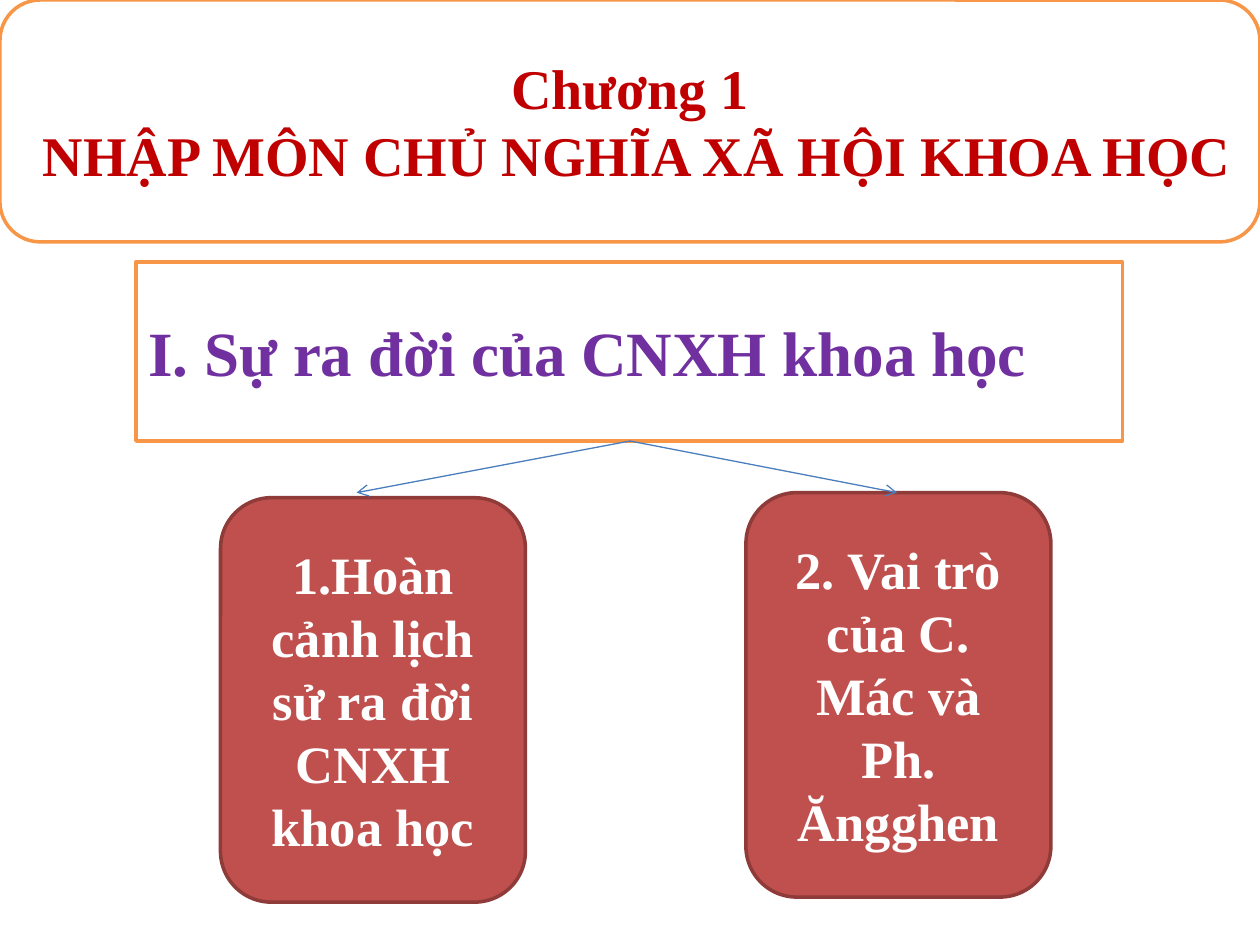
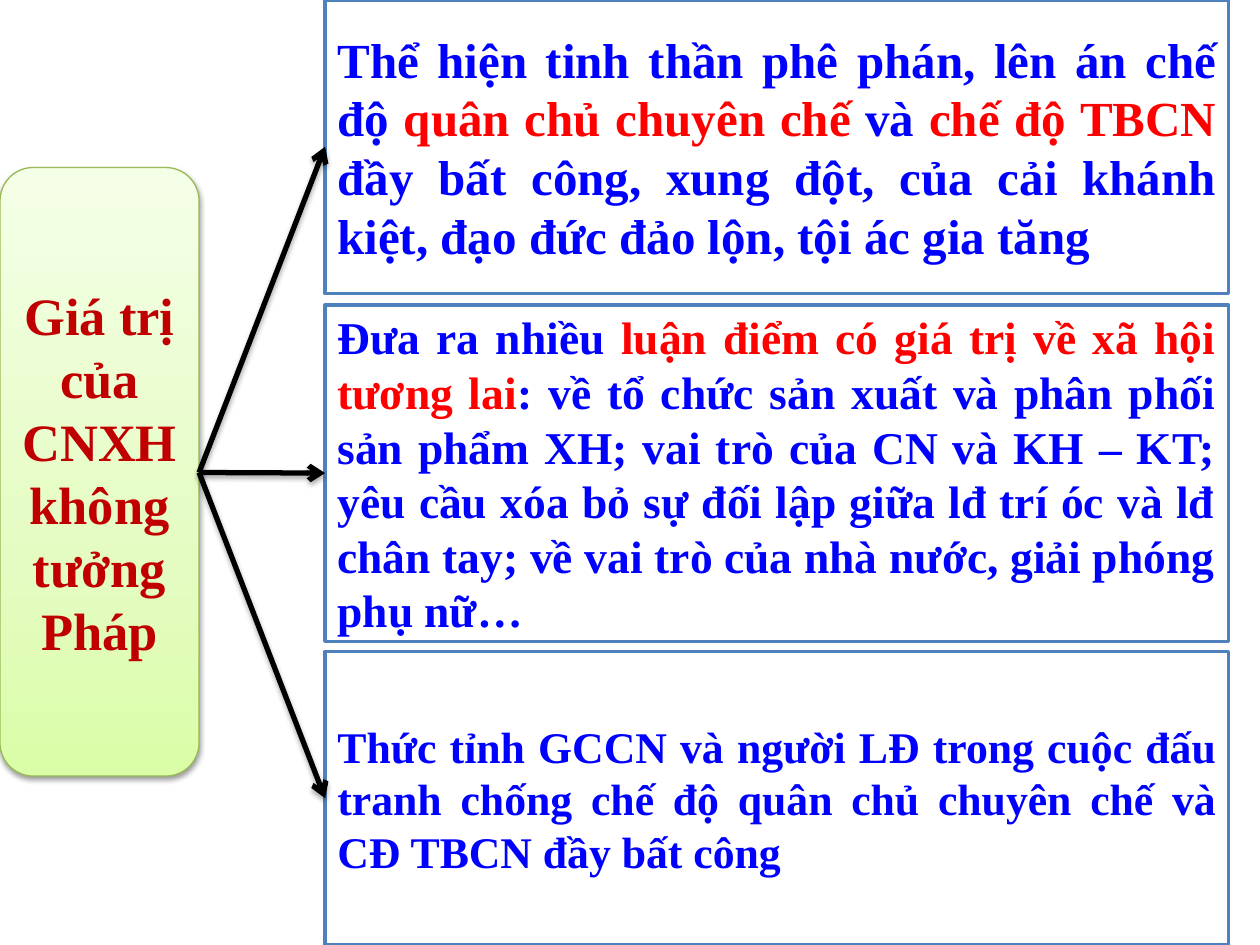
from copy import deepcopy
from dataclasses import dataclass
from lxml.etree import SubElement
from pptx import Presentation
from pptx.dml.color import RGBColor
from pptx.enum.shapes import MSO_CONNECTOR, MSO_SHAPE
from pptx.enum.text import MSO_ANCHOR, PP_ALIGN
from pptx.oxml.ns import qn
from pptx.util import Inches, Pt


@dataclass(frozen=True)
class Theme:
    font: str = "Times New Roman"
    white: str = "FFFFFF"
    black: str = "000000"
    orange: str = "F79646"
    crimson: str = "C00000"
    purple: str = "7030A0"
    brick: str = "C0504D"
    maroon: str = "8E3B39"
    steel: str = "4B7EBC"
    frame: str = "4F81BD"
    olive: str = "98B955"
    blue: str = "0000FF"
    red: str = "FF0000"
    greens: tuple = ((0, "DAFDA7"), (0.35, "E4FCC2"), (1, "F5FFE7"))
    title: int = 32
    head: int = 36
    card: int = 30
    thick: float = 2
    thin: float = 0.75
    bold: float = 3


theme = Theme()
rgb = RGBColor.from_string


def box(slide, kind, at, lines, size, inks, fill, edge, align=PP_ALIGN.CENTER):
    """Add a framed text shape; "|" in a line switches to the next ink."""
    shape = slide.shapes.add_shape(kind, *map(Inches, at))
    shape.shadow.inherit = False
    shape.fill.solid()
    shape.fill.fore_color.rgb = rgb(fill)
    shape.line.color.rgb = rgb(edge)
    shape.line.width = Pt(theme.thick)
    frame = shape.text_frame
    frame.word_wrap = True
    frame.vertical_anchor = MSO_ANCHOR.MIDDLE
    frame.text = "\n".join(line.split("|")[0] for line in lines)
    for para, line in zip(frame.paragraphs, lines):
        para.alignment = align
        for part in line.split("|")[1:]:
            para.add_run().text = part
        for i, run in enumerate(para.runs):
            run.font.name = theme.font
            run.font.size = Pt(size)
            run.font.bold = True
            run.font.color.rgb = rgb(inks[i % len(inks)])
    return shape


def arrow(slide, start, end, color, width):
    """Add an open-headed arrow and return its empty effect list."""
    link = slide.shapes.add_connector(
        MSO_CONNECTOR.STRAIGHT, *map(Inches, start + end))
    link.line.color.rgb = rgb(color)
    link.line.width = Pt(width)
    SubElement(link.line._get_or_add_ln(), qn("a:tailEnd"), type="arrow")
    return SubElement(link._element.spPr, qn("a:effectLst"))


deck = Presentation()
deck.slide_width, deck.slide_height = Inches(10), Inches(7.5)
blank = deck.slide_layouts[6]

# Chapter outline
slide = deck.slides.add_slide(blank)
box(slide, MSO_SHAPE.ROUNDED_RECTANGLE, (0, 0, 10, 1.92),
    ["Chương 1", " NHẬP MÔN CHỦ NGHĨA XÃ HỘI KHOA HỌC"],
    theme.title, [theme.crimson], theme.white, theme.orange)
part = box(slide, MSO_SHAPE.RECTANGLE, (1.08, 2.08, 7.83, 1.42),
           ["I. Sự ra đời của CNXH khoa học"],
           theme.head, [theme.purple], theme.white, theme.orange, PP_ALIGN.JUSTIFY)
props = part.text_frame.paragraphs[0]._p.get_or_add_pPr()
props.set("marL", str(Inches(0.37)))
props.set("indent", str(Inches(-0.37)))

topics = [
    (5.92, 3.91, "2. Vai trò của C. Mác và Ph. Ăngghen"),
    (1.75, 3.95, "1.Hoàn cảnh lịch sử ra đời CNXH khoa học"),
]
for left, top, text in topics:
    box(slide, MSO_SHAPE.ROUNDED_RECTANGLE, (left, top, 2.42, 3.21), [text],
        theme.card, [theme.white], theme.brick, theme.maroon)
for x in (2.83, 7.12):
    arrow(slide, (5, 3.5), (x, 3.91), theme.steel, theme.thin)

# Values of French utopian socialism
slide = deck.slides.add_slide(blank)
root = box(slide, MSO_SHAPE.ROUNDED_RECTANGLE, (0, 1.33, 1.58, 4.83),
           ["Giá trị của CNXH không tưởng Pháp"],
           theme.card, [theme.crimson], theme.white, theme.olive)
root.line.width = Pt(theme.thin)
root.fill.gradient()
root.fill.gradient_angle = 90
stops = root._element.spPr.find(".//" + qn("a:gsLst"))
stops.append(deepcopy(stops[0]))
for stop, (place, color) in zip(root.fill.gradient_stops, theme.greens):
    stop.position = place
    stop.color.rgb = rgb(color)
shades = [(root._element.spPr.find(qn("a:effectLst")), 1.6, 38)]

claims = [
    (0, 2.33, 28,
     "Thể hiện tinh thần phê phán, lên án chế độ |quân chủ chuyên chế |và "
     "|chế độ TBCN |đầy bất công, xung đột, của cải khánh kiệt, đạo đức đảo "
     "lộn, tội ác gia tăng"),
    (2.42, 2.67, 26,
     "Đưa ra nhiều |luận điểm có giá trị về xã hội tương lai|: về tổ chức sản "
     "xuất và phân phối sản phẩm XH; vai trò của CN và KH – KT; yêu cầu xóa bỏ "
     "sự đối lập giữa lđ trí óc và lđ chân tay; về vai trò của nhà nước, giải "
     "phóng phụ nữ…"),
    (5.17, 2.33, 25,
     "Thức tỉnh GCCN và người LĐ trong cuộc đấu tranh chống chế độ quân chủ "
     "chuyên chế và CĐ TBCN đầy bất công"),
]
for top, height, size, text in claims:
    box(slide, MSO_SHAPE.RECTANGLE, (2.58, top, 7.17, height), [text], size,
        [theme.blue, theme.red], theme.white, theme.frame, PP_ALIGN.JUSTIFY)
for top, height, *rest in claims:
    effect = arrow(slide, (1.58, 3.75), (2.58, top + height / 2),
                   theme.black, theme.bold)
    shades.append((effect, 1.8, 35))

for effect, gap, alpha in shades:
    shade = SubElement(effect, qn("a:outerShdw"), blurRad=str(Pt(3.1)),
                       dist=str(Pt(gap)), dir="5400000", rotWithShape="0")
    tone = SubElement(shade, qn("a:srgbClr"), val=theme.black)
    SubElement(tone, qn("a:alpha"), val=str(alpha * 1000))

deck.save("out.pptx")
